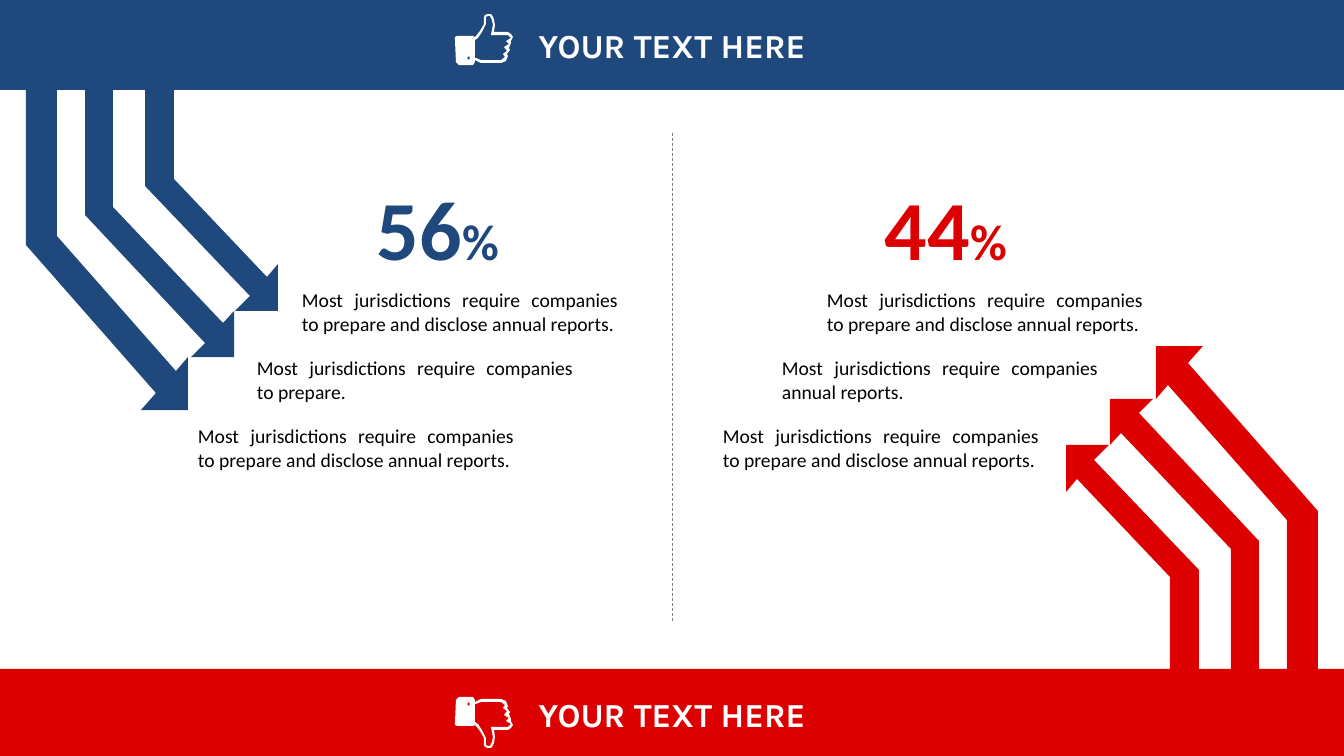
from lxml.etree import SubElement
from pptx import Presentation
from pptx.dml.color import RGBColor
from pptx.enum.dml import MSO_LINE
from pptx.enum.shapes import MSO_CONNECTOR, MSO_SHAPE
from pptx.enum.text import MSO_ANCHOR, MSO_AUTO_SIZE, PP_ALIGN
from pptx.oxml.ns import qn
from pptx.util import Emu, Pt

SLIDE_WIDTH, SLIDE_HEIGHT = 1344, 756
EMU_PER_PX = 12192000 / SLIDE_WIDTH

BLUE, RED, WHITE, BLACK, GRAY = "1F487C", "DD0000", "FFFFFF", "000000", "808080"

BANNER_HEIGHT, LOWER_BANNER_TOP = 90, 669
THUMB_MIRROR_SUM = 762  # upper thumb y + lower thumb y

ARROWS = [
    [(174, 39), (174, 179), (267, 277), (278, 264), (278, 311),
     (235, 311), (250, 296), (145, 186), (145, 39)],
    [(113, 39), (113, 207), (223, 323), (234, 311), (234, 357),
     (191, 357), (205, 343), (85, 215), (85, 39)],
    [(57, 39), (57, 236), (176, 371), (188, 357), (188, 410),
     (141, 410), (156, 393), (26, 245), (26, 39)],
]

THUMB_OUTLINE = [
    (488, 14), (485, 15), (484, 17), (484, 24), (480, 31), (476, 36), (475, 37),
    (473, 36), (457, 36), (455, 37), (455, 39), (456, 62), (459, 65), (473, 65),
    (475, 62), (475, 60), (477, 61), (481, 63), (501, 63), (506, 61), (508, 56),
    (507, 54), (510, 50), (509, 48), (511, 43), (511, 41), (513, 37), (511, 34),
    (508, 32), (494, 32), (495, 25), (494, 19), (492, 15), (491, 14),
]
THUMB_HAND = [
    (488, 16), (490, 16), (492, 20), (493, 25), (491, 35), (508, 35), (511, 38),
    (506, 41), (509, 44), (504, 47), (507, 51), (503, 54), (505, 57), (501, 60),
    (481, 60), (476, 58), (475, 58), (475, 40), (478, 38), (482, 32), (486, 24),
    (486, 17),
]
THUMB_BUTTON = [(469, 56), (470, 58), (469, 60), (467, 58)]
THUMB = [THUMB_OUTLINE, THUMB_HAND, THUMB_BUTTON]

REASON_LEFTS = [292, 247, 188]
REASON_TOP, REASON_PITCH = 283, 68
LONG_REASON = "Most jurisdictions require companies to prepare and disclose annual reports."
FOR_REASONS = [LONG_REASON, "Most jurisdictions require companies to prepare.", LONG_REASON]
AGAINST_REASONS = [LONG_REASON, "Most jurisdictions require companies annual reports.", LONG_REASON]
COLUMN_SHIFT = 525


def px(length):
    return Emu(round(length * EMU_PER_PX))


def color(hex_code):
    return RGBColor.from_string(hex_code)


def fill_plain(shape, hex_code):
    """Give a shape a solid fill with no outline or shadow."""
    shape.fill.solid()
    shape.fill.fore_color.rgb = color(hex_code)
    shape.line.fill.background()
    shape.shadow.inherit = False


def add_run(paragraph, text, size, hex_code, font_name="Calibri", bold=False):
    run = paragraph.add_run()
    run.text = text
    run.font.name = font_name
    run.font.size = Pt(size)
    run.font.bold = bold
    run.font.color.rgb = color(hex_code)


def add_outline(shapes, contours, hex_code):
    """Draw closed contours as one filled shape; inner contours are holes."""
    first, *others = contours
    builder = shapes.build_freeform(*first[0], scale=EMU_PER_PX)
    builder.add_line_segments(first[1:], close=True)
    for contour in others:
        builder.move_to(*contour[0])
        builder.add_line_segments(contour[1:], close=True)
    fill_plain(builder.convert_to_shape(), hex_code)


def add_arrows(slide, arrows, hex_code):
    group = slide.shapes.add_group_shape()
    for arrow in arrows:
        add_outline(group.shapes, [arrow], hex_code)


def add_banner(slide, top, hex_code):
    banner = slide.shapes.add_shape(
        MSO_SHAPE.RECTANGLE, 0, px(top), px(SLIDE_WIDTH), px(BANNER_HEIGHT))
    fill_plain(banner, hex_code)
    banner.text_frame.vertical_anchor = MSO_ANCHOR.MIDDLE
    paragraph = banner.text_frame.paragraphs[0]
    paragraph.alignment = PP_ALIGN.CENTER
    add_run(paragraph, "YOUR TEXT HERE", 24, WHITE, "Karla", bold=True)


def add_divider(slide):
    middle = px(SLIDE_WIDTH / 2)
    divider = slide.shapes.add_connector(
        MSO_CONNECTOR.STRAIGHT, middle, px(133), middle, px(623))
    divider.line.color.rgb = color(GRAY)
    divider.line.width = Pt(0.5)
    divider.line.dash_style = MSO_LINE.DASH
    SubElement(divider._element.spPr, qn("a:effectLst"))


def add_text_paragraph(slide, left, top, width, height):
    """Add a justified text box and return its paragraph."""
    box = slide.shapes.add_textbox(px(left), px(top), px(width), px(height))
    box.text_frame.word_wrap = True
    box.text_frame.auto_size = MSO_AUTO_SIZE.SHAPE_TO_FIT_TEXT
    paragraph = box.text_frame.paragraphs[0]
    paragraph.alignment = PP_ALIGN.JUSTIFY
    return paragraph


def add_percentage(slide, left, number, hex_code):
    paragraph = add_text_paragraph(slide, left, 172, 161, 112)
    add_run(paragraph, number, 60, hex_code, bold=True)
    add_run(paragraph, "%", 36, hex_code, bold=True)


def add_reasons(slide, reasons, shift):
    for row, (left, reason) in enumerate(zip(REASON_LEFTS, reasons)):
        top = REASON_TOP + row * REASON_PITCH
        paragraph = add_text_paragraph(slide, left + shift, top, 336, 57)
        add_run(paragraph, reason, 14, BLACK)


def main():
    presentation = Presentation()
    presentation.slide_width = px(SLIDE_WIDTH)
    presentation.slide_height = px(SLIDE_HEIGHT)
    slide = presentation.slides.add_slide(presentation.slide_layouts[6])

    turned_arrows = [[(SLIDE_WIDTH - x, SLIDE_HEIGHT - y) for x, y in arrow] for arrow in ARROWS]
    thumb_down = [[(x, THUMB_MIRROR_SUM - y) for x, y in contour] for contour in THUMB]

    add_arrows(slide, turned_arrows, RED)
    add_arrows(slide, ARROWS, BLUE)
    add_banner(slide, 0, BLUE)
    add_banner(slide, LOWER_BANNER_TOP, RED)
    add_divider(slide)
    add_reasons(slide, FOR_REASONS, 0)
    add_reasons(slide, AGAINST_REASONS, COLUMN_SHIFT)
    add_outline(slide.shapes, THUMB, WHITE)
    add_outline(slide.shapes, thumb_down, WHITE)
    add_percentage(slide, 367, "56", BLUE)
    add_percentage(slide, 875, "44", RED)

    presentation.save("out.pptx")


if __name__ == "__main__":
    main()
